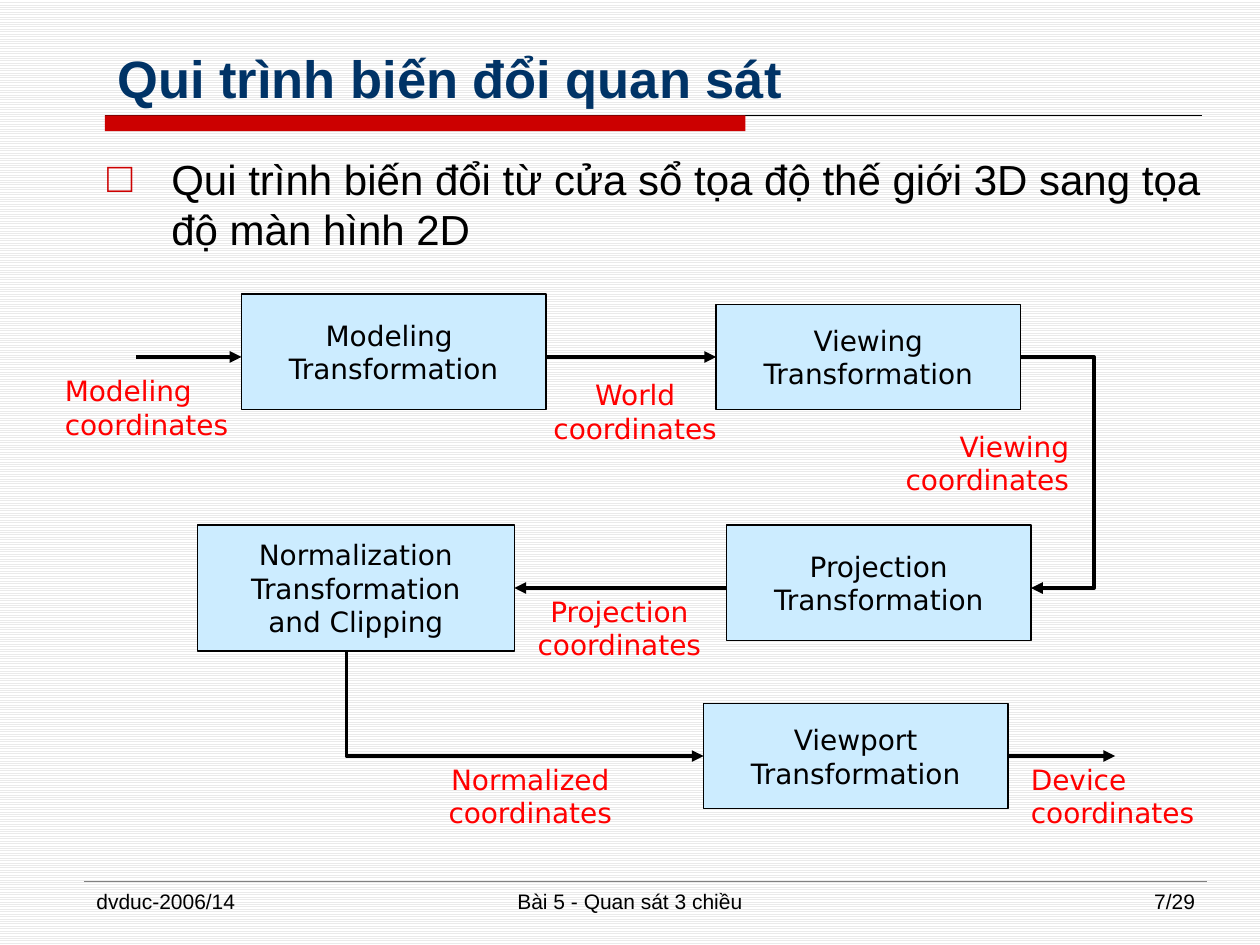
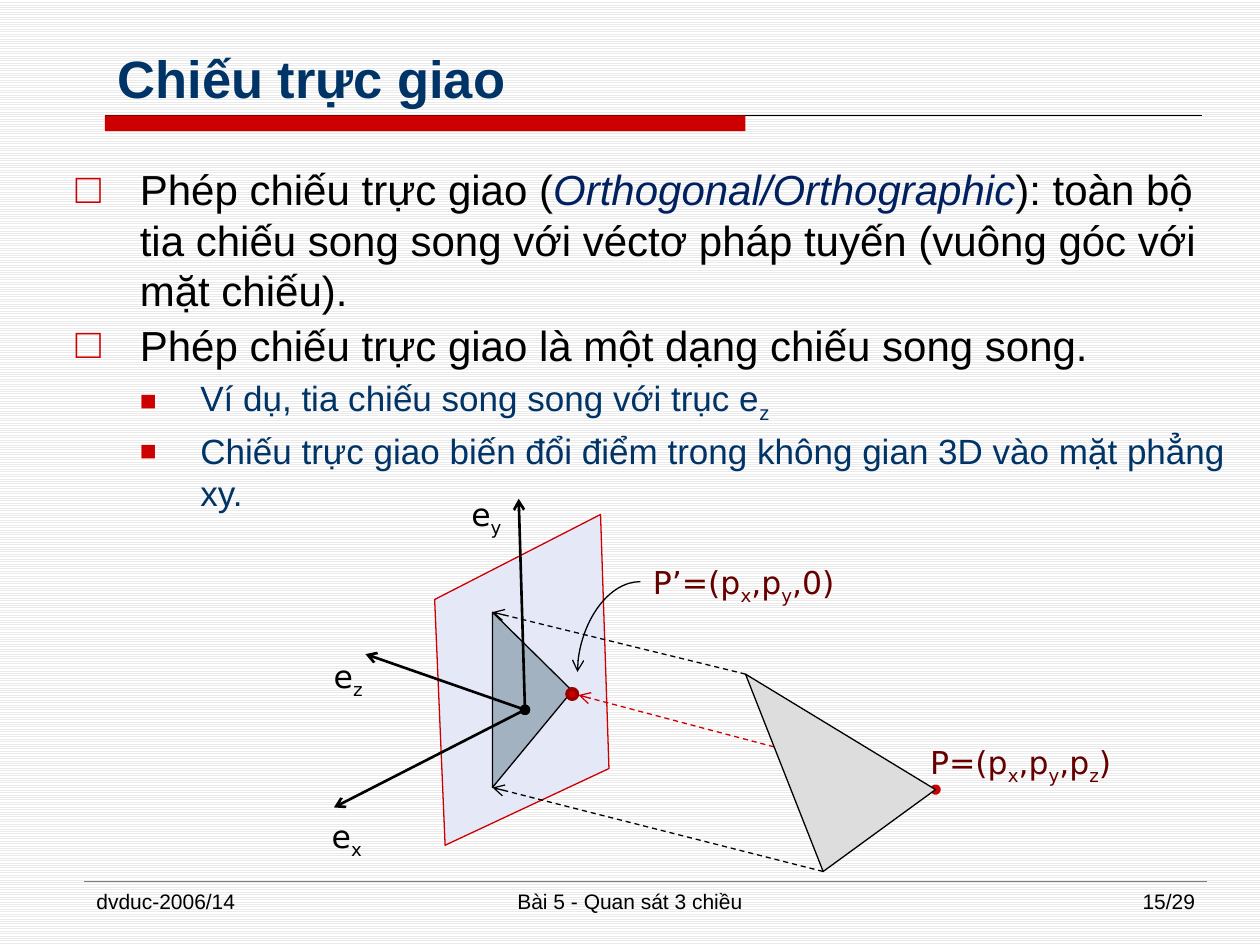
import lxml.etree
import pptx
import pptx.dml.color
import pptx.enum.dml
import pptx.enum.shapes
import pptx.enum.text
import pptx.oxml.ns
import pptx.util

RGB = pptx.dml.color.RGBColor
ALIGN = pptx.enum.text.PP_ALIGN
ANCHOR = pptx.enum.text.MSO_ANCHOR
SHAPE = pptx.enum.shapes.MSO_SHAPE
CONNECTOR = pptx.enum.shapes.MSO_CONNECTOR

BLACK = RGB(0x00, 0x00, 0x00)
WHITE = RGB(0xFF, 0xFF, 0xFF)
STRIPE = RGB(0xEA, 0xEA, 0xEA)
GRAY = RGB(0x80, 0x80, 0x80)
NAVY = RGB(0x00, 0x33, 0x66)
TERM_BLUE = RGB(0x00, 0x20, 0x60)
RED = RGB(0xCC, 0x00, 0x00)
LABEL_RED = RGB(0xFF, 0x00, 0x00)
DARK_RED = RGB(0x99, 0x00, 0x00)
MAROON = RGB(0x66, 0x00, 0x00)
STAGE_BLUE = RGB(0xCC, 0xEC, 0xFF)
PLANE_BLUE = RGB(0xE5, 0xE9, 0xF7)
SHADE_BLUE = RGB(0xA3, 0xB2, 0xC1)
OBJECT_GRAY = RGB(0xDD, 0xDD, 0xDD)

TEXT_FONT = "Arial"
DIAGRAM_FONT = "DejaVu Sans"
COLUMNS, ROWS = 120, 90
CELL = pptx.util.Inches(10) / COLUMNS

# Per list level: size, colour, left indent, hanging indent, space before and after, bullet, bullet %
LEVELS = [
    (24, BLACK, 0.51, 0.51, 1.2, 1.2, "□", 100),
    (20, NAVY, 0.99, 0.48, 3, 0, "■", 80),
]


def cells(*counts):
    """Turn grid columns or rows into lengths."""
    return [pptx.util.Emu(round(count * CELL)) for count in counts]


def add_xml(parent, tag, **attributes):
    return lxml.etree.SubElement(parent, pptx.oxml.ns.qn(tag), **attributes)


def style_font(font, size, color, name=TEXT_FONT, bold=False):
    font.name = name
    font.size = pptx.util.Pt(size)
    font.color.rgb = color
    font.bold = bold


def style_runs(paragraph, *style, **options):
    for run in paragraph.runs:
        style_font(run.font, *style, **options)


def lower(run):
    run._r.get_or_add_rPr().set("baseline", "-25000")


def set_term(run):
    run.font.italic = True
    run.font.color.rgb = TERM_BLUE


def write_marked(paragraph, marked, mark, *style, **options):
    """Write text whose every second part between bars gets the given mark."""
    for index, part in enumerate(marked.split("|")):
        run = paragraph.add_run()
        run.text = part
        style_font(run.font, *style, **options)
        if index % 2:
            mark(run)


def style_line(line, color, width, dashed=False, head=None, tail=None):
    line.color.rgb = color
    line.width = pptx.util.Pt(width)
    if dashed:
        line.dash_style = pptx.enum.dml.MSO_LINE.DASH
    for tag, kind in (("a:headEnd", head), ("a:tailEnd", tail)):
        if kind:
            add_xml(line._get_or_add_ln(), tag, type=kind)


def add_line(slide, start, end, color=BLACK, width=0.75, curved=False, **ends):
    kind = CONNECTOR.CURVE if curved else CONNECTOR.STRAIGHT
    connector = slide.shapes.add_connector(kind, *cells(*start, *end))
    style_line(connector.line, color, width, **ends)
    properties = connector._element.spPr
    add_xml(properties, "a:effectLst")
    if curved:
        properties.find(pptx.oxml.ns.qn("a:prstGeom")).set("prst", "curvedConnector2")


def add_outline(slide, points, fill=None, color=BLACK, width=0.75, **ends):
    """Draw a filled polygon, or an open path when there is no fill."""
    corners = [cells(*point) for point in points]
    builder = slide.shapes.build_freeform(*corners[0])
    builder.add_line_segments(corners[1:], close=fill is not None)
    outline = builder.convert_to_shape()
    outline.shadow.inherit = False
    if fill is None:
        outline.fill.background()
    else:
        outline.fill.solid()
        outline.fill.fore_color.rgb = fill
    style_line(outline.line, color, width, **ends)


def add_solid(slide, kind, box, fill, color=None, width=0.75):
    solid = slide.shapes.add_shape(kind, *cells(*box))
    solid.shadow.inherit = False
    solid.fill.solid()
    solid.fill.fore_color.rgb = fill
    if color is None:
        solid.line.fill.background()
    else:
        style_line(solid.line, color, width)
    return solid


def add_stage(slide, box, text):
    frame = add_solid(slide, SHAPE.RECTANGLE, box, STAGE_BLUE, BLACK).text_frame
    frame.text = text
    frame.word_wrap = False
    frame.vertical_anchor = ANCHOR.MIDDLE
    for paragraph in frame.paragraphs:
        paragraph.alignment = ALIGN.CENTER
        style_runs(paragraph, 16, BLACK, name=DIAGRAM_FONT)


def add_label(slide, box, text, align, *style, **options):
    frame = slide.shapes.add_textbox(*cells(*box)).text_frame
    frame.word_wrap = True
    paragraph = frame.paragraphs[0]
    paragraph.text = text
    paragraph.alignment = align
    style_runs(paragraph, *style, **options)


def add_symbol(slide, left, top, width, marked, color=BLACK):
    """Add a one-line formula with subscripts between bars."""
    frame = slide.shapes.add_textbox(*cells(left, top, width, 4.8)).text_frame
    frame.word_wrap = False
    write_marked(frame.paragraphs[0], marked, lower, 18, color, name=DIAGRAM_FONT)


def place(placeholder, box):
    placeholder.left, placeholder.top, placeholder.width, placeholder.height = cells(*box)
    frame = placeholder.text_frame
    frame.word_wrap = True
    frame.auto_size = pptx.enum.text.MSO_AUTO_SIZE.NONE
    return frame


def fill_body(slide, box, items):
    """Fill the body with (level, marked text, mark) items."""
    frame = place(slide.placeholders[1], box)
    frame.vertical_anchor = ANCHOR.TOP
    for index, (level, marked, mark) in enumerate(items):
        size, color, left, hanging, before, after, bullet, percent = LEVELS[level]
        paragraph = frame.add_paragraph() if index else frame.paragraphs[0]
        paragraph.level = level
        paragraph.alignment = ALIGN.LEFT
        paragraph.space_before = pptx.util.Pt(before)
        paragraph.space_after = pptx.util.Pt(after)
        write_marked(paragraph, marked, mark, size, color)
        properties = paragraph._p.get_or_add_pPr()
        properties.set("marL", str(pptx.util.Inches(left)))
        properties.set("indent", str(-pptx.util.Inches(hanging)))
        add_xml(add_xml(properties, "a:buClr"), "a:srgbClr", val=str(RED))
        add_xml(properties, "a:buSzPct", val=str(percent * 1000))
        add_xml(properties, "a:buFont", typeface=TEXT_FONT)
        add_xml(properties, "a:buChar", char=bullet)


def start_slide(deck, title, number):
    """Add a slide with its title, red band and footer."""
    slide = deck.slides.add_slide(deck.slide_layouts[1])
    add_line(slide, (10, 11), (114.5, 11))
    add_solid(slide, SHAPE.RECTANGLE, (10, 11, 61, 1.5), RED)
    add_line(slide, (8, 83.9), (115, 83.9), GRAY, 0.25)
    for left, width, text, align in (
        (8, 26, "dvduc-2006/14", ALIGN.LEFT),
        (41, 38, "Bài 5 - Quan sát 3 chiều", ALIGN.CENTER),
        (89, 26, f"{number}/29", ALIGN.RIGHT),
    ):
        add_label(slide, (left, 84, width, 4.2), text, align, 12, BLACK)
    frame = place(slide.shapes.title, (10, 2, 108, 9))
    frame.text = title
    frame.vertical_anchor = ANCHOR.BOTTOM
    frame.paragraphs[0].alignment = ALIGN.LEFT
    style_runs(frame.paragraphs[0], 30, NAVY, bold=True)
    return slide


def add_pipeline_slide(deck):
    slide = start_slide(deck, "Qui trình biến đổi quan sát", 7)
    fill_body(slide, (9, 14, 108, 13), [
        (0, "Qui trình biến đổi từ cửa sổ tọa độ thế giới 3D sang tọa độ màn hình 2D", None),
    ])
    for box, text in (
        ((23, 28, 29, 11), "Modeling \nTransformation"),
        ((68.2, 29, 29, 10), "Viewing\nTransformation"),
        ((69.2, 50, 29, 11), "Projection\nTransformation"),
        ((18.8, 50, 30.2, 12), "Normalization\nTransformation\nand Clipping"),
        ((67, 67, 29, 10), "Viewport\nTransformation"),
    ):
        add_stage(slide, box, text)

    flow = {"width": 2.25, "tail": "triangle"}
    for row, start, end in ((34, 13, 23), (34, 52, 68.2), (56, 69.2, 49), (72, 96, 106.2)):
        add_line(slide, (start, row), (end, row), **flow)
    add_outline(slide, [(97.2, 34), (104.2, 34), (104.2, 56), (98.2, 56)], **flow)
    add_outline(slide, [(33, 62), (33, 72), (67, 72)], **flow)

    for left, top, width, space, align in (
        (5, 35, 19, "Modeling", ALIGN.LEFT),
        (51, 35.4, 19, "World", ALIGN.CENTER),
        (79, 40.3, 24, "Viewing", ALIGN.RIGHT),
        (50, 56, 18, "Projection", ALIGN.CENTER),
        (37, 72, 27, "Normalized", ALIGN.CENTER),
        (97, 72, 19, "Device", ALIGN.LEFT),
    ):
        add_label(slide, (left, top, width, 7.7), f"{space} coordinates", align,
                  16, LABEL_RED, name=DIAGRAM_FONT)


def add_projection_slide(deck):
    slide = start_slide(deck, "Chiếu trực giao", 15)
    fill_body(slide, (6, 15, 112, 67), [
        (0, "Phép chiếu trực giao (|Orthogonal/Orthographic|): toàn bộ tia chiếu song song "
            "với véctơ pháp tuyến (vuông góc với mặt chiếu).", set_term),
        (0, "Phép chiếu trực giao là một dạng chiếu song song.", None),
        (1, "Ví dụ, tia chiếu song song với trục e|z", lower),
        (1, "Chiếu trực giao biến đổi điểm trong không gian 3D vào mặt phẳng xy.", None),
    ])
    origin = (50, 67.6)
    image_top, image_bottom, image_tip = (46.9, 58.3), (46.9, 75), (54.5, 65.8)
    object_top, object_bottom, object_tip = (71, 64.2), (78.4, 83), (89.1, 75.2)

    add_outline(slide, [(42.4, 80.5), (41.4, 57.1), (57.2, 49), (58, 73.2)], PLANE_BLUE, RED)
    add_outline(slide, [image_bottom, image_top, image_tip], SHADE_BLUE)
    for axis_end in ((49.4, 47.5), (31.8, 76.9), (34.8, 62.3)):
        add_line(slide, origin, axis_end, width=1.5, head="oval", tail="arrow")

    ray = {"dashed": True, "tail": "arrow"}
    add_line(slide, object_top, image_top, **ray)
    add_line(slide, object_tip, (55.1, 66.2), RED, head="oval", **ray)
    add_line(slide, object_bottom, image_bottom, **ray)
    add_outline(slide, [object_bottom, object_top, object_tip], OBJECT_GRAY)

    add_symbol(slide, 30.6, 62, 5.3, "e|z")
    add_symbol(slide, 30.4, 77.2, 5.4, "e|x")
    add_symbol(slide, 43.7, 46.6, 5.4, "e|y")
    add_symbol(slide, 87.4, 70.2, 20.6, "P=(p|x|,p|y|,p|z|)", MAROON)
    add_symbol(slide, 61, 53, 20.4, "P’=(p|x|,p|y|,0)", MAROON)
    add_solid(slide, SHAPE.OVAL, (54, 65.6, 1, 1), RED, DARK_RED, 2)
    add_line(slide, (61, 55.4), (55, 64), curved=True, tail="arrow")


def main():
    deck = pptx.Presentation()
    deck.slide_width, deck.slide_height = cells(COLUMNS, ROWS)
    paper = deck.slide_master.background.fill
    paper.patterned()
    paper.pattern = pptx.enum.dml.MSO_PATTERN.LIGHT_HORIZONTAL
    paper.fore_color.rgb = STRIPE
    paper.back_color.rgb = WHITE
    add_pipeline_slide(deck)
    add_projection_slide(deck)
    deck.save("out.pptx")


if __name__ == "__main__":
    main()
